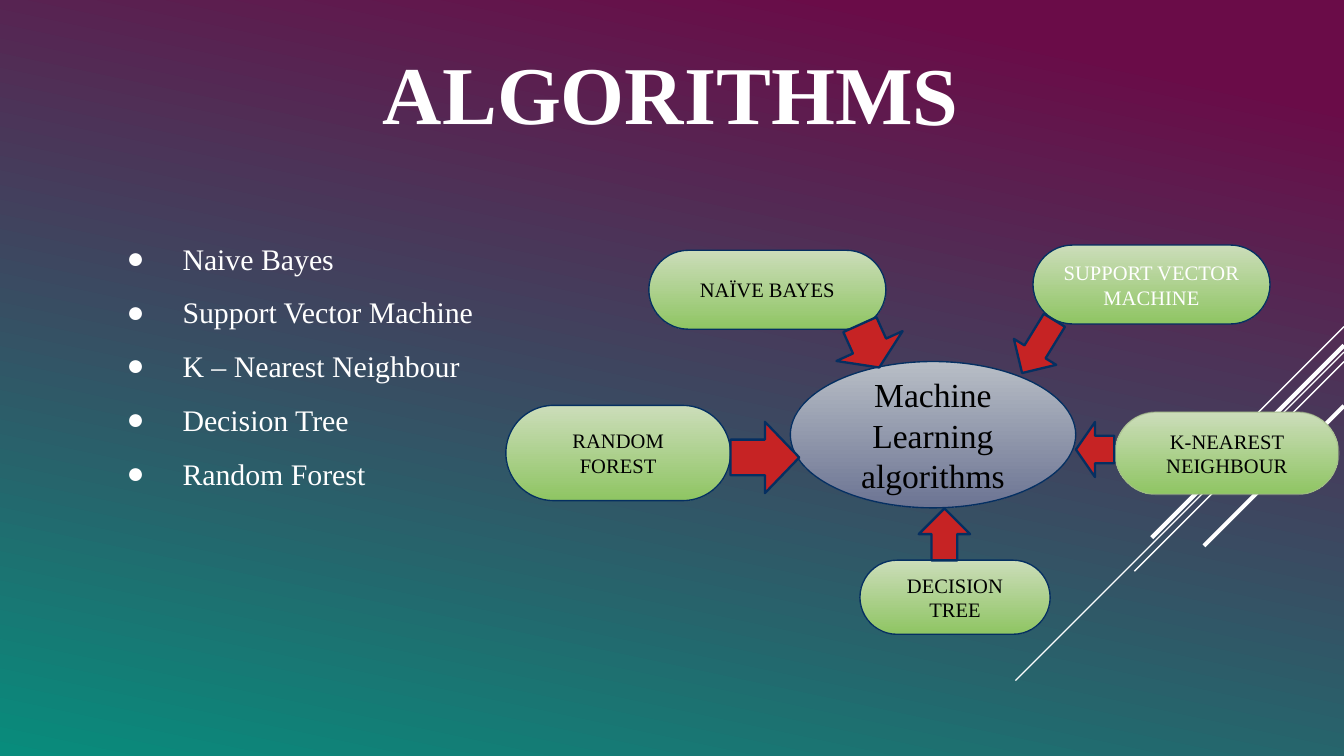
from dataclasses import dataclass

from lxml.etree import SubElement
from pptx import Presentation
from pptx.dml.color import RGBColor
from pptx.enum.shapes import MSO_CONNECTOR, MSO_SHAPE
from pptx.enum.text import MSO_ANCHOR, MSO_AUTO_SIZE, PP_ALIGN
from pptx.oxml.ns import qn
from pptx.util import Pt

FONT = "Times New Roman"
SLIDE_WIDTH, SLIDE_HEIGHT = 720, 405
COLORS = {
    "white": "FFFFFF",
    "black": "000000",
    "plum": "6A0C48",
    "teal": "088C7C",
    "navy": "052F61",
    "sage": "A4BB8B",
    "red": "C62324",
    "pale_green": "CCDDBA",
    "green": "8FC563",
    "silver": "B8BEC6",
    "slate": "6C7493",
}


@dataclass
class Stripe:
    top: float
    run: float
    weight: float


@dataclass
class Node:
    text: str
    left: float
    top: float
    width: float
    height: float
    color: str = "black"
    line: str = "navy"
    line_opacity: int = 100
    geometry: MSO_SHAPE = MSO_SHAPE.ROUNDED_RECTANGLE
    gradient: tuple = ("pale_green", "green")
    size: float = 11


@dataclass
class Arrow:
    geometry: MSO_SHAPE
    left: float
    top: float
    width: float
    height: float
    rotation: float = 0


STRIPES = [
    Stripe(175, 54, 0.75),
    Stripe(188.6, 176, 0.75),
    Stripe(193.7, 112.3, 0.75),
    Stripe(185, 103, 2.25),
    Stripe(217.4, 75, 2.25),
]
ALGORITHMS = ["Naive Bayes", "Support Vector Machine", "K – Nearest Neighbour",
              "Decision Tree", "Random Forest"]
NODES = [
    Node("Machine Learning algorithms", 423.4, 193.7, 152.9, 78.4,
         geometry=MSO_SHAPE.OVAL, gradient=("silver", "slate"), size=18),
    Node("NAÏVE BAYES", 347.6, 134.1, 127, 42.3),
    Node("SUPPORT VECTOR MACHINE", 553.4, 131.3, 127, 42.3, color="white"),
    Node("DECISION TREE", 460.7, 300.1, 101.9, 39.7),
    Node("K-NEAREST NEIGHBOUR", 597.4, 220.8, 119.8, 44.1, line="sage", line_opacity=60),
    Node("RANDOM FOREST", 271, 217.2, 120.4, 51),
]
ARROWS = [
    Arrow(MSO_SHAPE.UP_ARROW, 492.2, 272.4, 27.5, 27.8),
    Arrow(MSO_SHAPE.RIGHT_ARROW, 391.4, 226, 36.8, 38.2),
    Arrow(MSO_SHAPE.DOWN_ARROW, 446.4, 172.8, 38.9, 25.2, 335.7),
    Arrow(MSO_SHAPE.DOWN_ARROW, 542.9, 169.2, 26.6, 33.1, 31.5),
    Arrow(MSO_SHAPE.LEFT_ARROW, 576.4, 226.1, 20.5, 29.5),
]


def rgb(name: str) -> RGBColor:
    return RGBColor.from_string(COLORS[name])


def fill_gradient(fill, names: tuple, angle: float, start: float = 0) -> None:
    fill.gradient()
    fill.gradient_angle = 360 - angle
    for stop, name, position in zip(fill.gradient_stops, names, (start, 1)):
        stop.color.rgb = rgb(name)
        stop.position = position


def set_line(line, color: str, weight: float) -> None:
    line.color.rgb = rgb(color)
    line.width = Pt(weight)


def set_font(paragraph, size: float, color: str, bold: bool = False) -> None:
    for run in paragraph.runs:
        run.font.name = FONT
        run.font.size = Pt(size)
        run.font.bold = bold
        run.font.color.rgb = rgb(color)


def set_indent(paragraph, margin: float, indent: float):
    properties = paragraph._p.get_or_add_pPr()
    properties.set("marL", str(Pt(margin)))
    properties.set("indent", str(Pt(indent)))
    return properties


def place(shape, left: float, top: float, width: float, height: float) -> None:
    shape.left, shape.top = Pt(left), Pt(top)
    shape.width, shape.height = Pt(width), Pt(height)
    shape.text_frame.auto_size = MSO_AUTO_SIZE.NONE


def write_title(shape) -> None:
    place(shape, 85, 15.8, 512.6, 73.4)
    shape.rotation = 0.1
    frame = shape.text_frame
    frame.vertical_anchor = MSO_ANCHOR.MIDDLE
    frame.text = "ALGORITHMS"
    paragraph = frame.paragraphs[0]
    set_indent(paragraph, 36, 0)
    paragraph.alignment = PP_ALIGN.CENTER
    paragraph.line_spacing = 0.9
    set_font(paragraph, 44, "white", bold=True)


def write_list(shape, items: list) -> None:
    place(shape, 50.4, 112, 593, 177)
    frame = shape.text_frame
    frame.margin_top = frame.margin_bottom = Pt(7.2)
    frame.text = "\n".join(items)
    for paragraph in frame.paragraphs:
        paragraph.line_spacing = 1.5
        paragraph.space_before = Pt(0)
        properties = set_indent(paragraph, 40.2, -30)
        bullet_color = SubElement(properties, qn("a:buClr"))
        SubElement(bullet_color, qn("a:srgbClr"), val=COLORS["white"])
        SubElement(properties, qn("a:buChar"), char="●")
        set_font(paragraph, 16, "white")


def draw_stripe(slide, stripe: Stripe) -> None:
    connector = slide.shapes.add_connector(
        MSO_CONNECTOR.STRAIGHT, Pt(SLIDE_WIDTH), Pt(stripe.top),
        Pt(SLIDE_WIDTH - stripe.run), Pt(stripe.top + stripe.run))
    set_line(connector.line, "white", stripe.weight)
    SubElement(connector._element.spPr, qn("a:effectLst"))


def add_box(slide, item):
    shape = slide.shapes.add_shape(
        item.geometry, Pt(item.left), Pt(item.top), Pt(item.width), Pt(item.height))
    shape.shadow.inherit = False
    return shape


def draw_node(slide, node: Node) -> None:
    shape = add_box(slide, node)
    if node.geometry == MSO_SHAPE.ROUNDED_RECTANGLE:
        shape.adjustments[0] = 0.5
    fill_gradient(shape.fill, node.gradient, 90)
    set_line(shape.line, node.line, 0.75)
    if node.line_opacity < 100:
        line_color = shape.line._ln.find(".//" + qn("a:srgbClr"))
        SubElement(line_color, qn("a:alpha"), val=str(node.line_opacity * 1000))
    frame = shape.text_frame
    frame.word_wrap = True
    frame.vertical_anchor = MSO_ANCHOR.MIDDLE
    frame.text = node.text
    frame.paragraphs[0].alignment = PP_ALIGN.CENTER
    set_font(frame.paragraphs[0], node.size, node.color)


def draw_arrow(slide, arrow: Arrow) -> None:
    shape = add_box(slide, arrow)
    shape.rotation = arrow.rotation
    shape.fill.solid()
    shape.fill.fore_color.rgb = rgb("red")
    set_line(shape.line, "navy", 1.25)


def main() -> None:
    presentation = Presentation()
    presentation.slide_width = Pt(SLIDE_WIDTH)
    presentation.slide_height = Pt(SLIDE_HEIGHT)
    slide = presentation.slides.add_slide(presentation.slide_layouts[1])
    fill_gradient(slide.background.fill, ("plum", "teal"), 102, start=0.1)
    write_title(slide.shapes.title)
    write_list(slide.placeholders[1], ALGORITHMS)
    for stripe in STRIPES:
        draw_stripe(slide, stripe)
    for node in NODES:
        draw_node(slide, node)
    for arrow in ARROWS:
        draw_arrow(slide, arrow)
    presentation.save("out.pptx")


if __name__ == "__main__":
    main()
